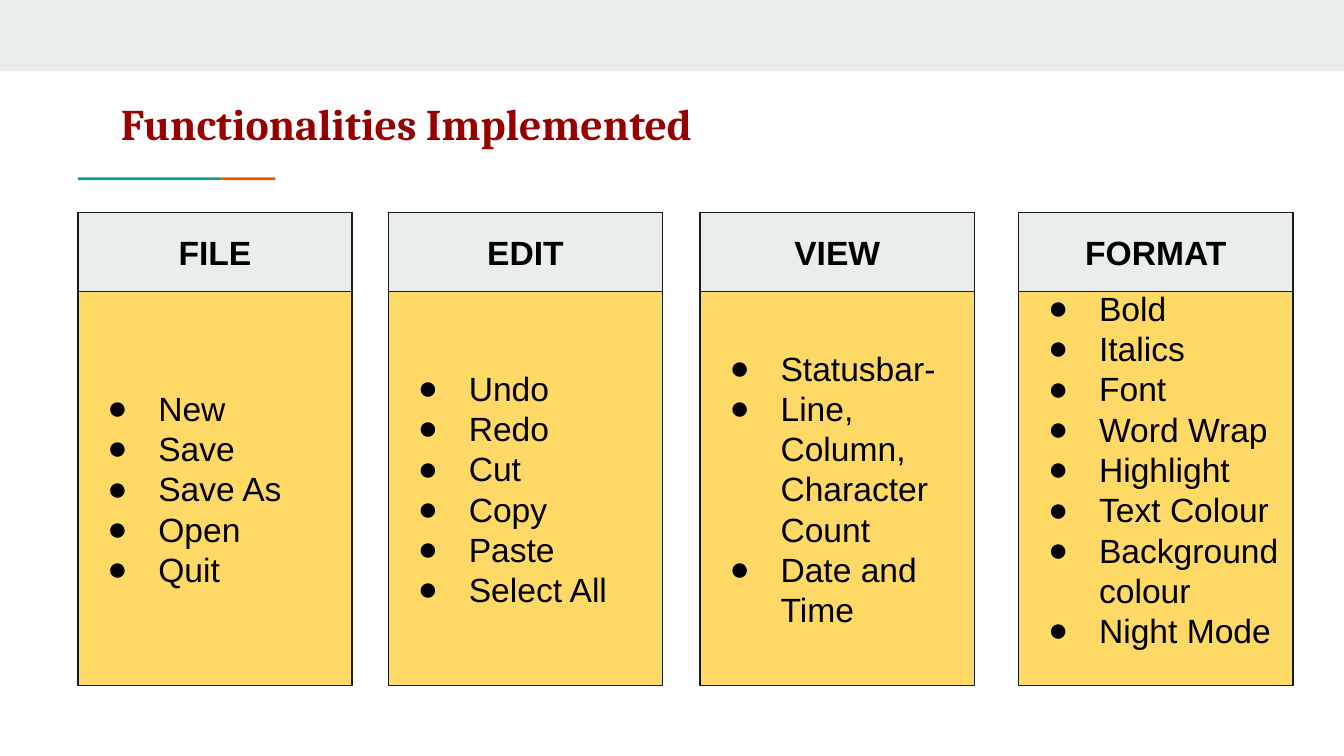
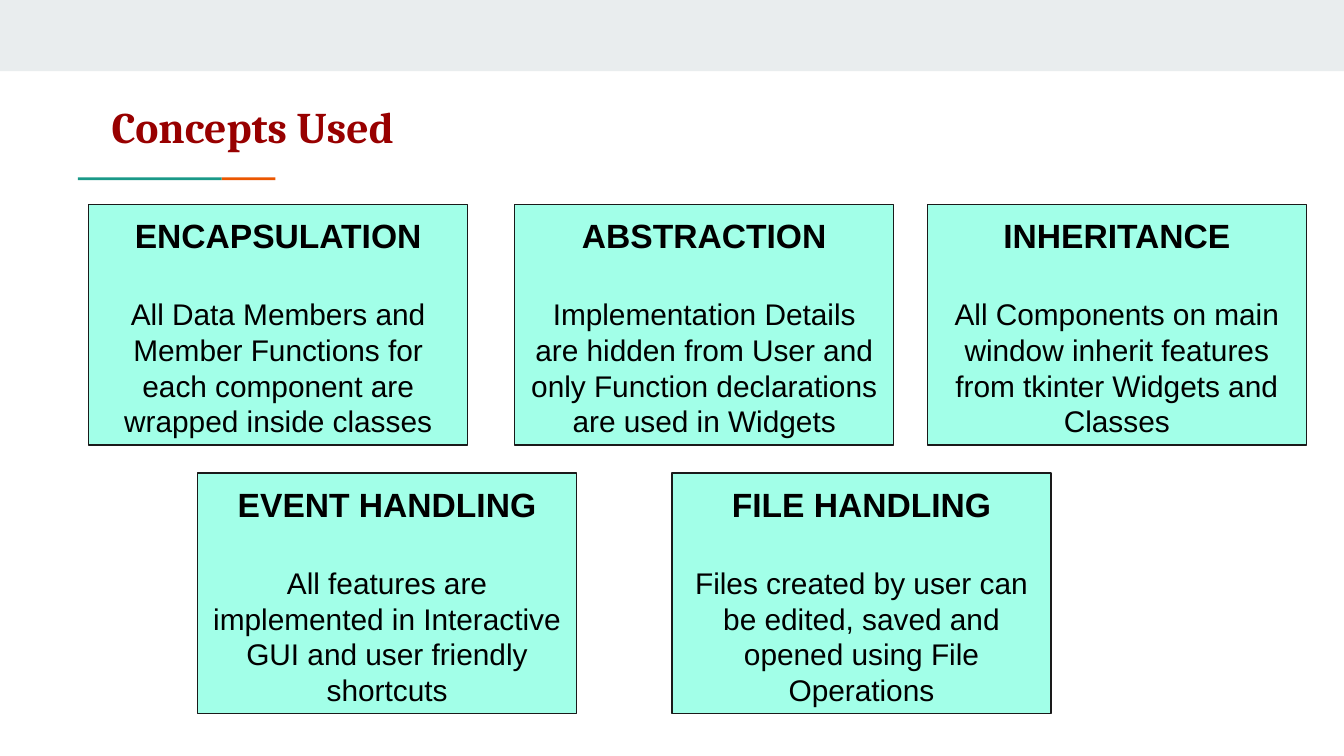
from dataclasses import dataclass

from lxml.etree import SubElement
from pptx import Presentation
from pptx.dml.color import RGBColor
from pptx.enum.shapes import MSO_SHAPE
from pptx.enum.text import MSO_ANCHOR, MSO_AUTO_SIZE, PP_ALIGN
from pptx.oxml.ns import qn
from pptx.util import Inches, Pt


@dataclass(frozen=True)
class Theme:
    band: str = "E9EDEE"
    orange: str = "EB5600"
    teal: str = "1A9988"
    title: str = "980000"
    text: str = "000000"
    outline: str = "1A1A1A"
    menu: str = "FFD966"
    concept: str = "A2FFE8"
    title_font: str = "Cambria"
    body_font: str = "Arial"
    title_size: float = 23.4
    head_size: float = 18
    body_size: float = 16
    leading: float = 1.2
    inset: float = 0.1


T = Theme()

SLIDE_W = 10
SLIDE_H = SLIDE_W * 9 / 16

MENU_TOP, MENU_W, MENU_H, HEAD_H = 1.58, 2.04, 3.52, 0.59
FULL_MENU_INSET = 0.4
MENUS = [
    (0.58, "FILE", ["New", "Save", "Save As", "Open", "Quit"]),
    (2.89, "EDIT", ["Undo", "Redo", "Cut", "Copy", "Paste", "Select All"]),
    (5.21, "VIEW", ["Statusbar-", "Line, Column, Character Count", "Date and Time"]),
    (7.58, "FORMAT", ["Bold", "Italics", "Font", "Word Wrap", "Highlight",
                      "Text Colour", "Background colour", "Night Mode"]),
]

CONCEPT_W, CONCEPT_H = 2.82, 1.79
CONCEPT_ROWS = [
    (1.52, [
        (0.66, "ENCAPSULATION", "All Data Members and Member Functions for each "
                                "component are wrapped inside classes"),
        (3.83, "ABSTRACTION", "Implementation Details are hidden from User and only "
                              "Function declarations are used in Widgets"),
        (6.9, "INHERITANCE", "All Components on main window inherit features from "
                             "tkinter Widgets and Classes"),
    ]),
    (3.52, [
        (1.47, "EVENT HANDLING", "All features are implemented in Interactive GUI "
                                 "and user friendly shortcuts"),
        (5, "FILE HANDLING", "Files created by user can be edited, saved and opened "
                             "using File Operations"),
    ]),
]


def set_attrs(obj, values):
    for name, value in values.items():
        setattr(obj, name, value)


def set_frame(tf, anchor, top=T.inset, bottom=T.inset):
    set_attrs(tf, {
        "word_wrap": True,
        "auto_size": MSO_AUTO_SIZE.NONE,
        "vertical_anchor": anchor,
        "margin_left": Inches(T.inset),
        "margin_right": Inches(T.inset),
        "margin_top": Inches(top),
        "margin_bottom": Inches(bottom),
    })


def add_run(p, text, size, bold=False, font=T.body_font, color=T.text):
    r = p.add_run()
    r.text = text
    set_attrs(r.font, {"name": font, "size": Pt(size), "bold": bold})
    r.font.color.rgb = RGBColor.from_string(color)


def add_line(p, text, size, align, bold=False):
    set_attrs(p, {"alignment": align, "line_spacing": Pt(size * T.leading)})
    add_run(p, text, size, bold)


def add_rect(s, left, top, width, height, fill, outlined=True):
    sp = s.shapes.add_shape(MSO_SHAPE.RECTANGLE, Inches(left), Inches(top),
                            Inches(width), Inches(height))
    sp.shadow.inherit = False
    sp.fill.solid()
    sp.fill.fore_color.rgb = RGBColor.from_string(fill)
    if outlined:
        sp.line.color.rgb = RGBColor.from_string(T.outline)
        sp.line.width = Pt(0.75)
    else:
        sp.line.fill.background()
    return sp


def set_bullet(p):
    pPr = p._p.get_or_add_pPr()
    pPr.set("marL", str(Inches(0.5)))
    pPr.set("indent", str(Inches(-0.38)))
    color = SubElement(pPr, qn("a:buClr"))
    SubElement(color, qn("a:srgbClr"), val=T.text)
    SubElement(pPr, qn("a:buFont"), typeface=T.body_font)
    SubElement(pPr, qn("a:buChar"), char="●")


def add_slide(prs, title, left, top):
    s = prs.slides.add_slide(prs.slide_layouts[5])
    add_rect(s, 0, 0, SLIDE_W, 0.53, T.band, outlined=False)
    add_rect(s, 1.65, 1.32, 0.4, 0.02, T.orange, outlined=False)
    add_rect(s, 0.58, 1.32, 1.07, 0.02, T.teal, outlined=False)
    sp = s.shapes.title
    set_attrs(sp, {"left": Inches(left), "top": Inches(top),
                   "width": Inches(8.41), "height": Inches(0.59)})
    set_frame(sp.text_frame, MSO_ANCHOR.TOP)
    p = sp.text_frame.paragraphs[0]
    p.alignment = PP_ALIGN.LEFT
    add_run(p, title, T.title_size, True, T.title_font, T.title)
    return s


def add_menu(s, left, name, items):
    tf = add_rect(s, left, MENU_TOP, MENU_W, MENU_H, T.menu).text_frame
    top = FULL_MENU_INSET if len(items) > 6 else HEAD_H + T.inset
    set_frame(tf, MSO_ANCHOR.MIDDLE, top)
    for i, item in enumerate(items):
        p = tf.add_paragraph() if i else tf.paragraphs[0]
        add_line(p, item, T.head_size, PP_ALIGN.LEFT)
        set_bullet(p)
    tf = add_rect(s, left, MENU_TOP, MENU_W, HEAD_H, T.band).text_frame
    set_frame(tf, MSO_ANCHOR.MIDDLE)
    add_line(tf.paragraphs[0], name, T.head_size, PP_ALIGN.CENTER, True)


def add_concept(s, left, top, name, text):
    tf = add_rect(s, left, top, CONCEPT_W, CONCEPT_H, T.concept).text_frame
    set_frame(tf, MSO_ANCHOR.TOP, 0.08, 0)
    p = tf.paragraphs[0]
    add_line(p, name, T.head_size, PP_ALIGN.CENTER, True)
    p.space_after = Pt(T.head_size * T.leading)
    add_line(tf.add_paragraph(), text, T.body_size, PP_ALIGN.CENTER)


def main():
    prs = Presentation()
    set_attrs(prs, {"slide_width": Inches(SLIDE_W), "slide_height": Inches(SLIDE_H)})

    s = add_slide(prs, "Functionalities Implemented", 0.8, 0.62)
    for left, name, items in MENUS:
        add_menu(s, left, name, items)

    s = add_slide(prs, "Concepts Used", 0.73, 0.64)
    for top, concepts in CONCEPT_ROWS:
        for left, name, text in concepts:
            add_concept(s, left, top, name, text)

    prs.save("out.pptx")


main()
